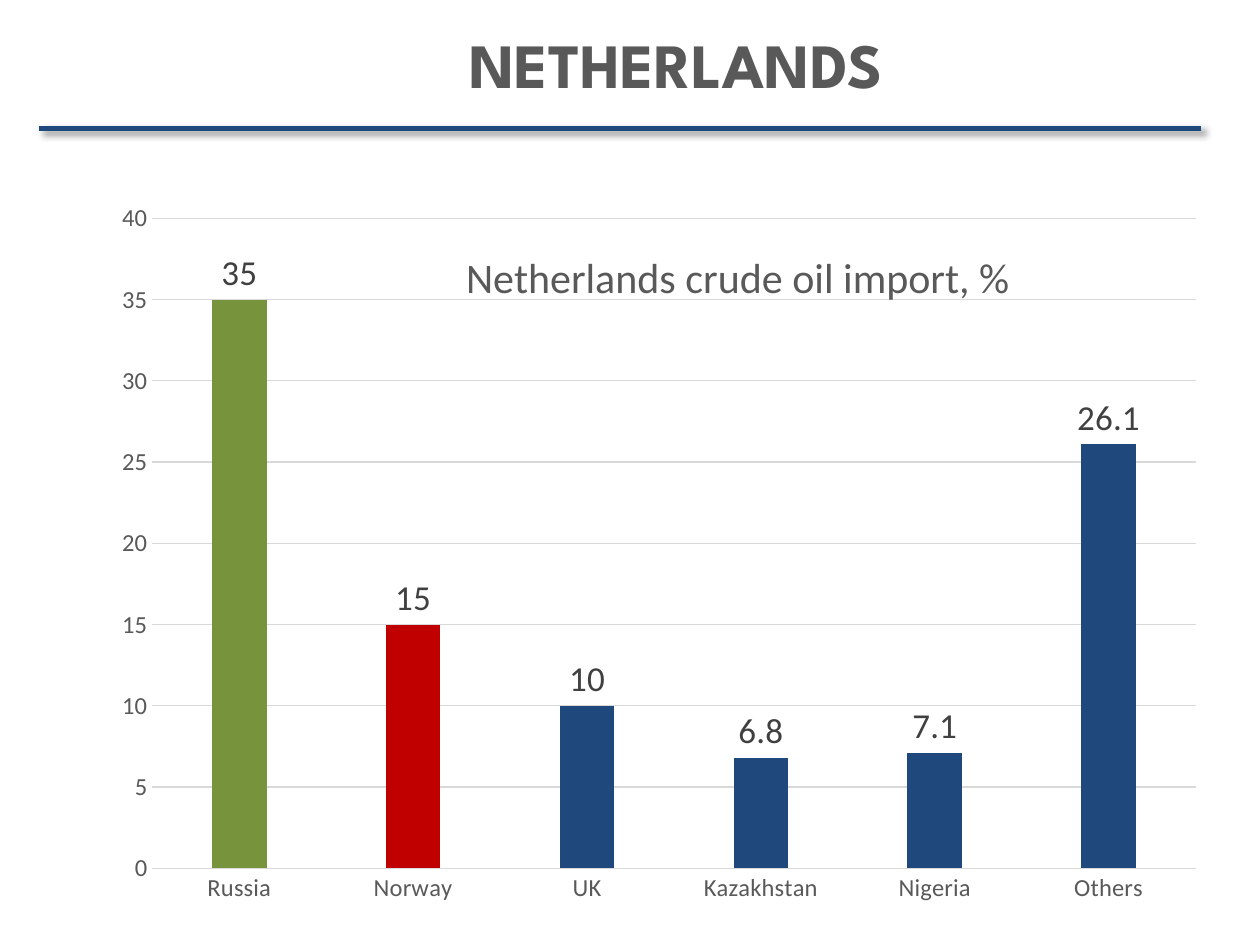
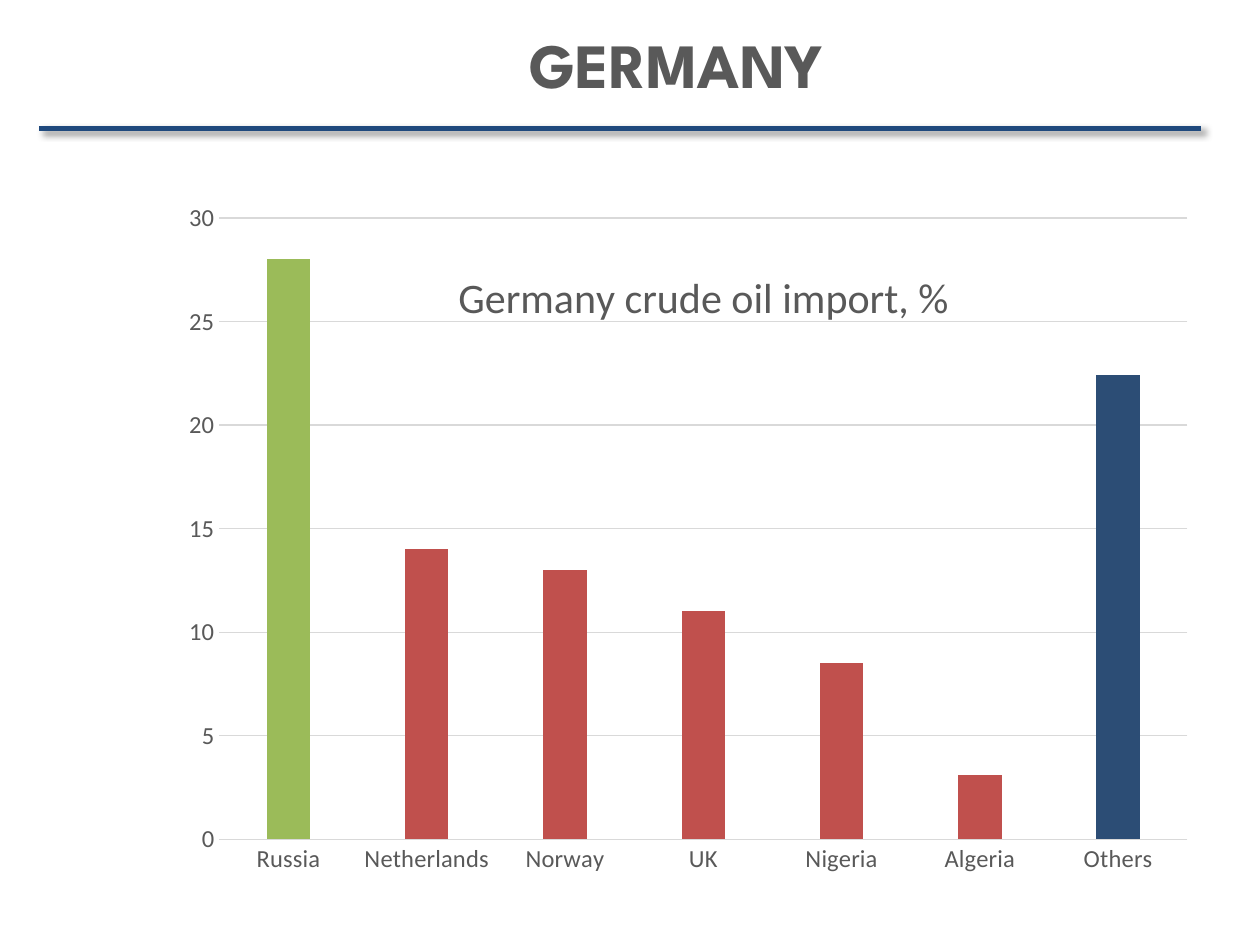
from lxml.etree import SubElement
from pptx import Presentation
from pptx.chart.data import CategoryChartData
from pptx.dml.color import RGBColor
from pptx.enum.chart import XL_CHART_TYPE, XL_LABEL_POSITION, XL_TICK_MARK
from pptx.enum.shapes import MSO_CONNECTOR
from pptx.enum.text import MSO_ANCHOR, PP_ALIGN
from pptx.oxml.ns import qn
from pptx.util import Cm, Pt

NAVY = RGBColor(0x1F, 0x49, 0x7D)
STEEL = RGBColor(0x2C, 0x4D, 0x75)
OLIVE = RGBColor(0x77, 0x93, 0x3C)
LIME = RGBColor(0x9B, 0xBB, 0x59)
RED = RGBColor(0xC0, 0x00, 0x00)
BRICK = RGBColor(0xC0, 0x50, 0x4D)
GREY = RGBColor(0x59, 0x59, 0x59)
DARK = RGBColor(0x40, 0x40, 0x40)
PALE = RGBColor(0xD9, 0xD9, 0xD9)

LANDS = [
    {
        "name": "Netherlands",
        "box": (1.7, 3.63, 22.86, 15.42),
        "plot": {"x": 0.06, "y": 0.05, "w": 0.92, "h": 0.85},
        "head": {"x": 0.33, "y": 0.08},
        "bars": [("Russia", 35, OLIVE), ("Norway", 15, RED), ("UK", 10, NAVY),
                 ("Kazakhstan", 6.8, NAVY), ("Nigeria", 7.1, NAVY),
                 ("Others", 26.1, NAVY)],
        "top": 40,
        "labels": True,
    },
    {
        "name": "Germany",
        "box": (3.15, 4.09, 21.21, 14.58),
        "plot": {"x": 0.06, "y": 0.02, "w": 0.92, "h": 0.86},
        "head": {"x": 0.28, "y": 0.08},
        "bars": [("Russia", 28, LIME), ("Netherlands", 14, BRICK),
                 ("Norway", 13, BRICK), ("UK", 11, BRICK),
                 ("Nigeria", 8.5, BRICK), ("Algeria", 3.1, BRICK),
                 ("Others", 22.4, STEEL)],
        "top": 30,
        "labels": False,
    },
]


def style(font, size, color, face="Calibri", bold=False):
    font.size, font.name, font.bold = Pt(size), face, bold
    font.color.rgb = color


def place(part, spots, inner=False):
    """Give a chart part a fixed place, in fractions of the chart."""
    layout = part.find(qn("c:layout"))
    if layout is None:
        layout = part.makeelement(qn("c:layout"))
        part.insert(0, layout)
    manual = SubElement(layout, qn("c:manualLayout"))
    if inner:
        SubElement(manual, qn("c:layoutTarget")).set("val", "inner")
    for key in ("x", "y"):
        SubElement(manual, qn(f"c:{key}Mode")).set("val", "edge")
    for key, spot in spots.items():
        SubElement(manual, qn(f"c:{key}")).set("val", str(spot))


deck = Presentation()
deck.slide_width, deck.slide_height = Cm(25.4), Cm(19.05)

for land in LANDS:
    slide = deck.slides.add_slide(deck.slide_layouts[5])

    # Heading
    title = slide.shapes.title
    title.left, title.top = Cm(4.11), Cm(0.38)
    title.width, title.height = Cm(19.05), Cm(1.8)
    title.text_frame.vertical_anchor = MSO_ANCHOR.MIDDLE
    para = title.text_frame.paragraphs[0]
    para.alignment = PP_ALIGN.CENTER
    run = para.add_run()
    run.text = land["name"].upper()
    style(run.font, 36, GREY, "League Spartan", True)

    # Chart
    names, values, colors = zip(*land["bars"])
    data = CategoryChartData()
    data.categories = names
    data.add_series("Series 1", values)
    chart = slide.shapes.add_chart(
        XL_CHART_TYPE.COLUMN_CLUSTERED, *map(Cm, land["box"]), data).chart
    chart.has_legend = False
    chart.font.name = "Calibri"
    plot = chart.plots[0]
    plot.gap_width, plot.overlap = 219, -27
    plot.vary_by_categories = False
    series = plot.series[0]
    for spot, color in enumerate(colors):
        fill = series.points[spot].format.fill
        fill.solid()
        fill.fore_color.rgb = color
    if land["labels"]:
        labels = series.data_labels
        labels.show_value = True
        labels.position = XL_LABEL_POSITION.OUTSIDE_END
        style(labels.font, 20, DARK)

    # Axes
    across, upright = chart.category_axis, chart.value_axis
    for axis in (across, upright):
        axis.major_tick_mark = axis.minor_tick_mark = XL_TICK_MARK.NONE
        style(axis.tick_labels.font, 14, GREY)
    upright.minimum_scale, upright.maximum_scale = 0, land["top"]
    upright.major_unit = 5
    upright.format.line.fill.background()
    for line in (across.format.line, upright.major_gridlines.format.line):
        line.color.rgb = PALE
        line.width = Pt(0.75)

    # Chart title, laid over the plot
    head = chart.chart_title
    run = head.text_frame.paragraphs[0].add_run()
    run.text = f"{land['name']} crude oil import, %"
    style(run.font, 24, GREY)
    place(head.element, land["head"])
    head.element.find(qn("c:overlay")).set("val", "1")
    place(next(chart.element.iter(qn("c:plotArea"))), land["plot"], True)

    # Rule under the heading
    rule = slide.shapes.add_connector(
        MSO_CONNECTOR.STRAIGHT, Cm(0.79), Cm(2.59), Cm(24.21), Cm(2.59))
    rule.line.color.rgb = NAVY
    rule.line.width = Pt(3)
    effects = SubElement(rule.element.spPr, qn("a:effectLst"))
    shadow = SubElement(effects, qn("a:outerShdw"), blurRad=str(Pt(4)),
                        dist=str(Pt(3)), dir="2700000", algn="tl")
    black = SubElement(shadow, qn("a:srgbClr"), val="000000")
    SubElement(black, qn("a:alpha"), val="40000")

deck.save("out.pptx")
